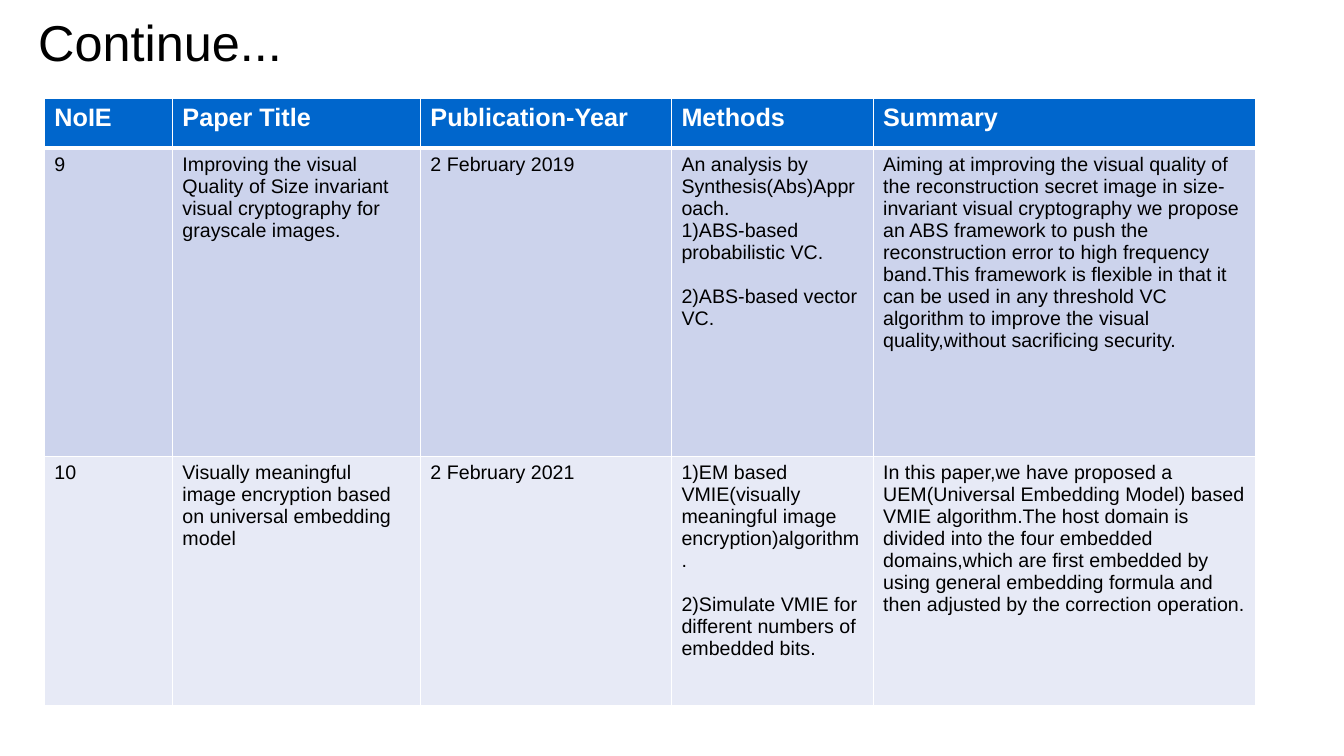
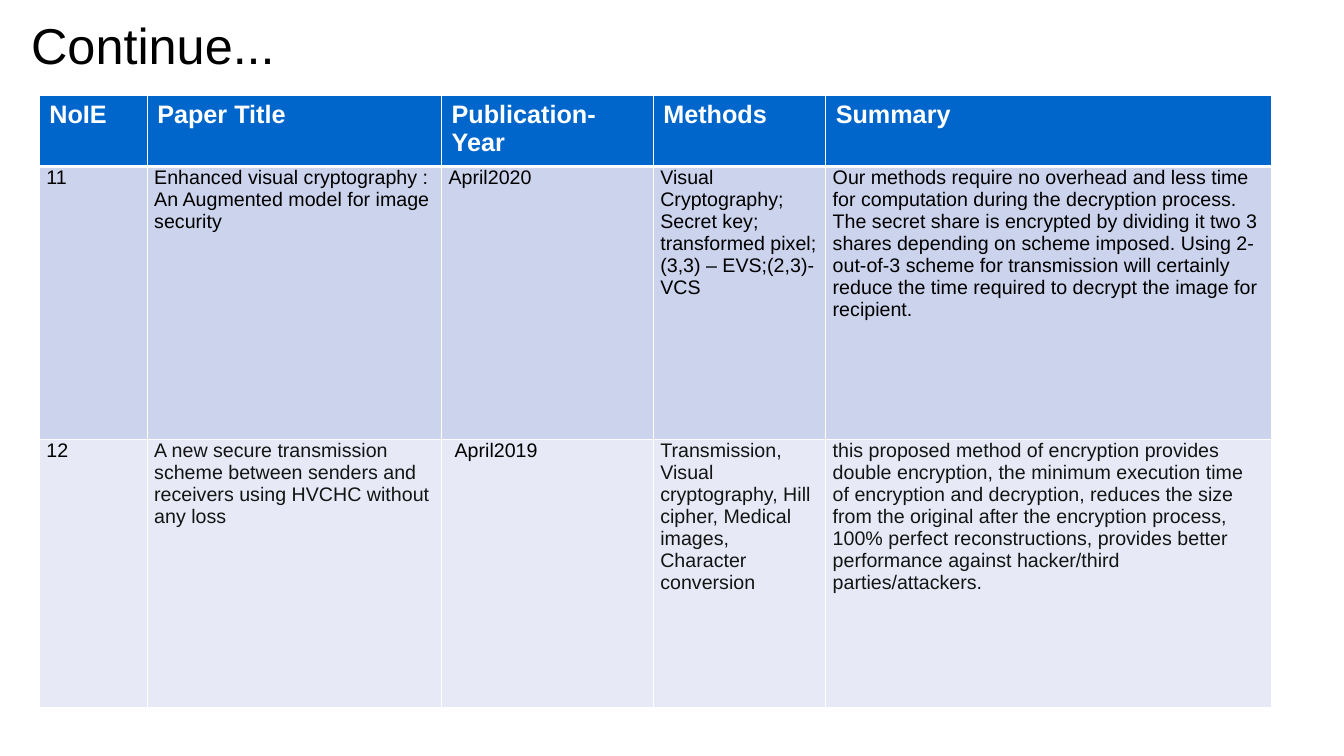
from lxml import etree
from pptx import Presentation
from pptx import util as u
from pptx.dml.color import RGBColor
from pptx.enum import text
from pptx.oxml.ns import qn

HEADS = ["NoIE", "Paper Title", "Publication-Year", "Methods", "Summary"]


def rgb(code):
    return RGBColor.from_string(code)


def write(frame, words, size=14, color="000000", bold=False, gap=0):
    """Fill a text frame, one paragraph a line; gap parts the last one."""
    frame.word_wrap = True
    lines = words.split("\n")
    for i, line in enumerate(lines):
        para = frame.paragraphs[0] if i == 0 else frame.add_paragraph()
        if gap and i == len(lines) - 1:
            para.space_before = u.Pt(gap)
        run = para.add_run()
        run.text = line
        run.font.name = "Arial"
        run.font.size = u.Pt(size)
        run.font.bold = bold
        run.font.color.rgb = rgb(color)


class Deck:
    HEAD, WHITE, INK = "0066CC", "FFFFFF", "131413"
    BANDS = ["CCD3EC", "E7EAF6"]

    def __init__(self):
        self.prs = Presentation()
        self.prs.slide_width = u.Inches(13.33)
        self.prs.slide_height = u.Inches(7.5)
        self.slide = None

    def page(self):
        self.slide = self.prs.slides.add_slide(self.prs.slide_layouts[6])

    def title(self, words, left, top):
        box = self.slide.shapes.add_textbox(
            u.Inches(left), u.Inches(top), u.Inches(10.29), u.Inches(0.68))
        box.text_frame.vertical_anchor = text.MSO_ANCHOR.MIDDLE
        write(box.text_frame, words, size=36)

    def edge(self, cell, top=1, bottom=1):
        props = cell._tc.get_or_add_tcPr()
        for side, width in zip("LRTB", (1, 1, top, bottom)):
            line = etree.SubElement(props, qn(f"a:ln{side}"), w=str(u.Pt(width)))
            fill = etree.SubElement(line, qn("a:solidFill"))
            etree.SubElement(fill, qn("a:srgbClr"), val=self.WHITE)

    def table(self, left, top, cols, rows, body, pad=(0.1, 0.05)):
        """Body cells are text, or text with a dict of format options."""
        grid = self.slide.shapes.add_table(
            len(rows), len(cols), u.Inches(left), u.Inches(top),
            u.Inches(sum(cols)), u.Inches(sum(rows))).table
        grid.horz_banding = False
        for col, width in zip(grid.columns, cols):
            col.width = u.Inches(width)
        for row, height in zip(grid.rows, rows):
            row.height = u.Inches(height)

        # Header row
        for c, head in enumerate(HEADS):
            cell = grid.cell(0, c)
            self.edge(cell, bottom=3)
            self.paint(cell, self.HEAD)
            write(cell.text_frame, head, size=18, color=self.WHITE, bold=True)

        # Banded body rows
        for r, items in enumerate(body, 1):
            for c, item in enumerate(items):
                words, opts = item if isinstance(item, tuple) else (item, {})
                opts = dict(opts)
                cell = grid.cell(r, c)
                cell.margin_left = u.Inches(pad[0] + opts.pop("indent", 0))
                cell.margin_right = u.Inches(pad[0])
                cell.margin_top = cell.margin_bottom = u.Inches(pad[1])
                self.edge(cell, top=3 if r == 1 else 1)
                self.paint(cell, self.BANDS[(r - 1) % 2])
                write(cell.text_frame, words, **opts)

    def paint(self, cell, color):
        cell.fill.solid()
        cell.fill.fore_color.rgb = rgb(color)


def main():
    deck = Deck()
    gap = {"gap": 16}
    ink = {"color": deck.INK}

    # Papers 9 and 10
    deck.page()
    deck.title("Continue...", 0.28, 0.07)
    deck.table(0.44, 0.98, [1.27, 2.46, 2.49, 2, 3.79], [0.49, 3.06, 2.47], [
        ["9",
         "Improving the visual Quality of Size invariant visual cryptography "
         "for grayscale images.",
         "2 February 2019",
         ("An analysis by Synthesis(Abs)Approach.\n"
          "1)ABS-based probabilistic VC.\n2)ABS-based vector VC.", gap),
         "Aiming at improving the visual quality of the reconstruction secret "
         "image in size-invariant visual cryptography we propose an ABS "
         "framework to push the reconstruction error to high frequency "
         "band.This framework is flexible in that it can be used in any "
         "threshold VC algorithm to improve the visual quality,without "
         "sacrificing security."],
        ["10",
         "Visually meaningful image encryption based on universal embedding "
         "model",
         "2 February 2021",
         ("1)EM based VMIE(visually meaningful image encryption)algorithm.\n"
          "2)Simulate VMIE for different numbers of embedded bits.", gap),
         "In this paper,we have proposed a UEM(Universal Embedding Model) "
         "based VMIE algorithm.The host domain is divided into the four "
         "embedded domains,which are first embedded by using general "
         "embedding formula and then adjusted by the correction operation."],
    ])

    # Papers 11 and 12
    deck.page()
    deck.title("Continue...", 0.21, 0.1)
    deck.table(0.39, 0.95, [1.07, 2.92, 2.1, 1.71, 4.42], [0.65, 2.71, 2.66], [
        ["11",
         "Enhanced visual cryptography : An Augmented model for image "
         "security",
         "April2020",
         "Visual Cryptography; Secret key; transformed pixel; (3,3) – "
         "EVS;(2,3)- VCS",
         "Our methods require no overhead and less time for computation "
         "during the decryption process. The secret share is encrypted by "
         "dividing it two 3 shares depending on scheme imposed. Using "
         "2-out-of-3 scheme for transmission will certainly reduce the time "
         "required to decrypt the image for recipient."],
        ["12",
         ("A new secure transmission scheme between senders and receivers "
          "using HVCHC without any loss", ink),
         ("April2019", {"indent": 0.06}),
         ("Transmission, Visual cryptography, Hill cipher, Medical images, "
          "Character conversion", ink),
         ("this proposed method of encryption provides double encryption, "
          "the minimum execution time of encryption and decryption, reduces "
          "the size from the original after the encryption process, 100% "
          "perfect reconstructions, provides better performance against "
          "hacker/third parties/attackers.", ink)],
    ], pad=(0.07, 0))

    deck.prs.save("out.pptx")


if __name__ == "__main__":
    main()
